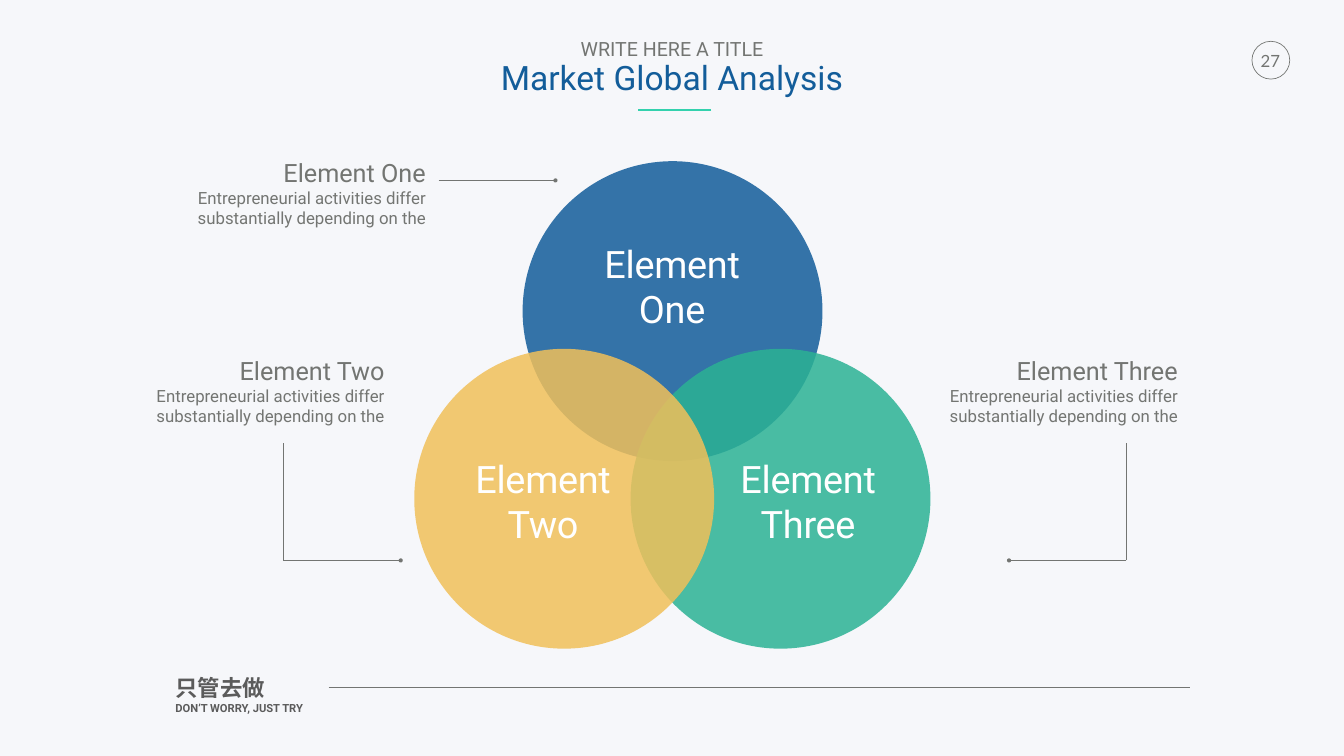
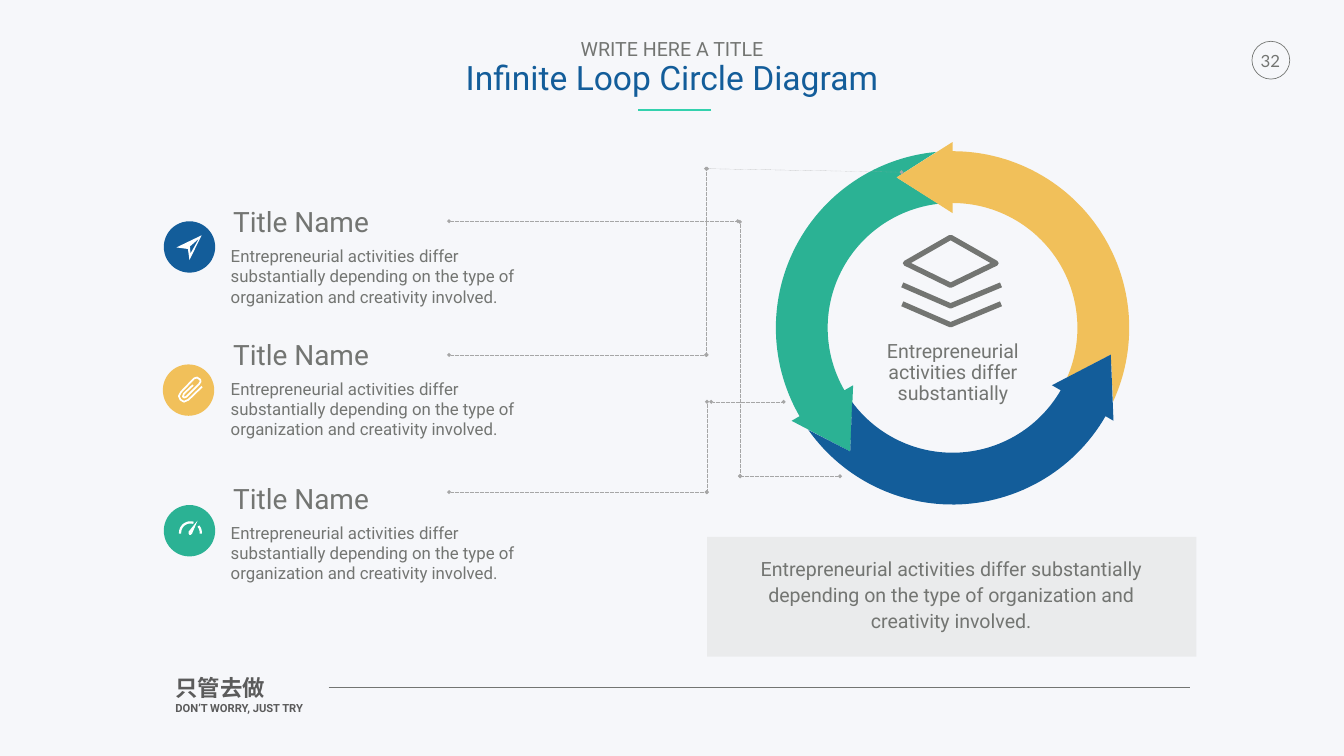
from math import cos, radians, sin

from lxml.etree import SubElement
from pptx import Presentation
from pptx.dml.color import RGBColor
from pptx.enum.dml import MSO_LINE
from pptx.enum.shapes import MSO_CONNECTOR, MSO_SHAPE
from pptx.enum.text import MSO_ANCHOR, MSO_AUTO_SIZE, PP_ALIGN
from pptx.oxml.ns import qn
from pptx.util import Pt

COLORS = {
    "background": "F6F7FA", "gray": "737572", "slogan": "5B5B5B",
    "blue": "135D9A", "green": "2BB294", "yellow": "F1C05A",
    "accent": "33D1AD", "dash": "A6A6A6", "panel": "D9D9D9", "white": "FFFFFF",
}
LEFT, CENTER, RIGHT = PP_ALIGN.LEFT, PP_ALIGN.CENTER, PP_ALIGN.RIGHT

TEASER = "Entrepreneurial activities differ substantially depending on the"
DESCRIPTION = TEASER + " type of organization and creativity involved."

# Icon outlines, relative to the centre of their badge
PLANE = [
    [(17.3, -16.6), (-18.7, 0.7), (-2.2, 2.9), (0, 18.7)],
    [(13.7, -12.2), (1.4, 9.4), (0.7, -0.7)],
]
CLIP = [
    (19.4, -5), (0, 13.7), (-6.5, 16.6), (-11.5, 13.7), (-13.7, 8.6),
    (-10.8, 2.9), (7.9, -16.6), (12.2, -18), (16.6, -15.1), (17.3, -12.2),
    (15.1, -8.6), (-2.9, 9.4), (-5.8, 10.8), (-7.9, 9.4), (-6.5, 5),
    (6.5, -7.2),
]
NEEDLE = [(11.5, -14.4), (-1.4, 1.4), (-1.4, 4), (0, 5.8), (2, 5.8), (3.6, 4.3)]


def rgb(color):
    return RGBColor.from_string(COLORS[color])


def paint(shape, fill=None, alpha=100, line=None, width=1):
    shape.shadow.inherit = False
    if fill:
        shape.fill.solid()
        shape.fill.fore_color.rgb = rgb(fill)
        if alpha < 100:
            tint = shape.fill._xPr.find(qn("a:solidFill"))[0]
            SubElement(tint, qn("a:alpha"), val=str(alpha * 1000))
    else:
        shape.fill.background()
    if line:
        shape.line.color.rgb = rgb(line)
        shape.line.width = Pt(width)
    else:
        shape.line.fill.background()


def preset(slide, kind, left, top, width, height, **look):
    shape = slide.shapes.add_shape(kind, Pt(left), Pt(top), Pt(width), Pt(height))
    paint(shape, **look)


def circle(slide, center, diameter, **look):
    x, y = center
    radius = diameter / 2
    preset(slide, MSO_SHAPE.OVAL, x - radius, y - radius, diameter, diameter, **look)


def outline(slide, contours, origin=(0, 0), closed=True, **look):
    """Draw one freeform from lists of points relative to origin."""
    contours = [[(Pt(origin[0] + x), Pt(origin[1] + y)) for x, y in contour]
                for contour in contours]
    builder = slide.shapes.build_freeform(*contours[0][0], scale=1.0)
    for number, contour in enumerate(contours):
        if number:
            builder.move_to(*contour[0])
        builder.add_line_segments(contour[1:], close=closed)
    paint(builder.convert_to_shape(), **look)


def polar(radius, angle, center=(0, 0)):
    """Point at an angle counted counterclockwise from the right."""
    turn = radians(angle)
    return center[0] + radius * cos(turn), center[1] - radius * sin(turn)


def arc(radius, start, end, center=(0, 0), steps=60):
    return [polar(radius, start + (end - start) * step / steps, center)
            for step in range(steps + 1)]


def connect(slide, x1, y1, x2, y2, color="gray", width=1, head=None, tail=None,
            dashed=False):
    line = slide.shapes.add_connector(
        MSO_CONNECTOR.STRAIGHT, Pt(x1), Pt(y1), Pt(x2), Pt(y2))
    line.line.color.rgb = rgb(color)
    line.line.width = Pt(width)
    if dashed:
        line.line.dash_style = MSO_LINE.DASH
    properties = line._element.spPr
    for tag, end in (("a:headEnd", head), ("a:tailEnd", tail)):
        if end:
            SubElement(properties.find(qn("a:ln")), qn(tag), type=end)
    SubElement(properties, qn("a:effectLst"))


def prepare(frame, inset, wrap=True, anchor=MSO_ANCHOR.TOP):
    frame.auto_size = MSO_AUTO_SIZE.NONE
    frame.word_wrap = wrap
    frame.vertical_anchor = anchor
    frame.margin_left = frame.margin_right = Pt(inset)
    frame.margin_top = frame.margin_bottom = Pt(inset)
    return frame


def text_area(slide, left, top, width, height, inset=3.6, **layout):
    box = slide.shapes.add_textbox(Pt(left), Pt(top), Pt(width), Pt(height))
    return prepare(box.text_frame, inset, **layout)


def write(frame, text, size=24, color="gray", font="Roboto", bold=False,
          align=LEFT, line_spacing=None, before=None, tracking=None):
    """Add a paragraph to the frame, filling its empty first one if possible."""
    first = frame.paragraphs[0]
    paragraph = frame.add_paragraph() if first.runs else first
    paragraph.text = text
    paragraph.alignment = align
    if line_spacing:
        paragraph.line_spacing = line_spacing
    if before:
        paragraph.space_before = Pt(before)
    for run in paragraph.runs:
        run.font.size = Pt(size)
        run.font.name = font
        run.font.bold = bold
        run.font.color.rgb = rgb(color)
        if tracking:
            run._r.get_or_add_rPr().set("spc", str(round(tracking * 100)))


def add_slide(deck, heading, number):
    """Add a slide with the shared background, title, page number and footer."""
    slide = deck.slides.add_slide(deck.slide_layouts[5])
    slide.background.fill.solid()
    slide.background.fill.fore_color.rgb = rgb("background")

    circle(slide, (1815.5, 86), 54, line="gray")
    page = text_area(slide, 1794, 64.8, 42, 43, inset=7.2, wrap=False)
    write(page, str(number), font="Lato", align=CENTER)

    slogan = text_area(slide, 247, 960, 287, 71)
    write(slogan, "只管去做", size=32, color="slogan", bold=True)
    write(slogan, "DON’T WORRY, JUST TRY", size=16, color="slogan", bold=True)
    connect(slide, 469.5, 982, 1700.5, 982, width=0.25)

    title = slide.shapes.title
    title.left, title.top, title.width, title.height = Pt(660), Pt(53.3), Pt(600), Pt(96)
    frame = prepare(title.text_frame, 3.6, wrap=False)
    write(frame, "WRITE HERE A TITLE", size=28, align=CENTER, line_spacing=0.9)
    write(frame, heading, size=48, color="blue", align=CENTER, line_spacing=0.9)
    connect(slide, 1016, 157, 912, 157, color="accent", width=3)
    return slide


def venn_label(slide, name, left, top):
    label = text_area(slide, left, top, 227, 137.5)
    write(label, f"Element\n{name}", size=54, color="white", align=CENTER, tracking=-0.4)


def venn_note(slide, name, left, top, width):
    note = text_area(slide, left, top, width, 120, inset=9.4)
    write(note, f"Element {name}", size=36, align=RIGHT)
    write(note, TEASER, align=RIGHT)


def venn_slide(deck):
    slide = add_slide(deck, "Market Global Analysis", 27)
    for center, color in (((960.75, 444.5), "blue"), ((1115, 712.5), "green"),
                          ((806, 712.5), "yellow")):
        circle(slide, center, 428.4, fill=color, alpha=85)
    for name, left, top in (("One", 846.7, 340.5), ("Two", 662.4, 647.3),
                            ("Three", 1041, 647.3)):
        venn_label(slide, name, left, top)
    for name, left, top, width in (("One", 180.7, 216, 437), ("Two", 121.7, 498, 437),
                                   ("Three", 1329, 498, 363)):
        venn_note(slide, name, left, top, width)
    connect(slide, 626.5, 257.7, 793.5, 257.7, tail="oval")
    for corner, end in ((404.8, 572.4), (1609, 1441.5)):
        connect(slide, corner, 633, corner, 800.6)
        connect(slide, corner, 800.6, end, 800.6, tail="oval")


def loop_arrow(slide, turn, color):
    """Draw a third of the ring; its tail is notched for the next arrow's tip."""
    outer, inner, tip = 252.4, 178.4, 229.3
    points = arc(outer, turn - 24.7, turn + 90)
    points += [polar(265.5, turn + 90), polar(tip, turn + 110.4), polar(164, turn + 90)]
    points += arc(inner, turn + 90, turn - 23.5)
    points.append(polar(tip, turn - 9.6))
    outline(slide, [points], origin=(1360.8, 468.4), fill=color)


def topic(slide, top):
    write(text_area(slide, 326, top, 472, 63, inset=7.2), "Title Name", size=40)
    write(text_area(slide, 326, top + 62.8, 472, 94), DESCRIPTION)


def badges(slide):
    plane, clip, gauge = (270.7, 352.8), (269.3, 557.3), (270.7, 758.2)
    for center, color in ((plane, "blue"), (clip, "yellow"), (gauge, "green")):
        circle(slide, center, 73.4, fill=color)
    outline(slide, PLANE, origin=plane, fill="white")
    outline(slide, [CLIP], origin=clip, closed=False, line="white", width=2.5)
    outline(slide, [NEEDLE], origin=gauge, fill="white")
    dial = [arc(14.8, start, end, center=(1.4, 2.9), steps=20)
            for start, end in ((185, 73), (-5, 40))]
    outline(slide, dial, origin=gauge, closed=False, line="white", width=3.2)


def layers_icon(slide):
    stroke = {"line": "gray", "width": 7.5}
    outline(slide, [[(1358, 339), (1423, 376), (1358, 407.5), (1293.5, 376)]], **stroke)
    for top in (407, 434):
        chevron = [(1289, top), (1358, top + 30), (1430, top)]
        outline(slide, [chevron], closed=False, **stroke)


def loop_slide(deck):
    slide = add_slide(deck, "Infinite Loop Circle Diagram", 32)
    for turn, color in ((120, "green"), (0, "yellow"), (-120, "blue")):
        loop_arrow(slide, turn, color)
    badges(slide)
    for top in (285, 474.5, 680.4):
        topic(slide, top)

    preset(slide, MSO_SHAPE.RECTANGLE, 1010, 766.8, 699, 171.4, fill="panel", alpha=40)
    summary = text_area(slide, 1057, 793.4, 603.4, 108.7, inset=0, anchor=MSO_ANCHOR.MIDDLE)
    write(summary, DESCRIPTION, size=28, align=CENTER, line_spacing=1.1, before=30)

    for ends in (
        (641.5, 316, 1054, 316), (1057, 317, 1057, 680), (1057.5, 680.4, 1200, 680.4),
        (641.5, 507, 1009.5, 507), (1010, 241, 1288, 246), (641.5, 703, 1009.5, 703),
        (1010, 574, 1010, 703), (1016, 574, 1119.5, 574), (1008.7, 241, 1008.7, 507),
    ):
        connect(slide, *ends, color="dash", width=0.25, dashed=True,
                head="diamond", tail="diamond")

    layers_icon(slide)
    core = text_area(slide, 1227, 481, 268.5, 108.7, inset=7.2)
    write(core, "Entrepreneurial activities differ substantially", size=28,
          align=CENTER, line_spacing=0.89)


def main():
    deck = Presentation()
    deck.slide_width, deck.slide_height = Pt(1920), Pt(1080)
    venn_slide(deck)
    loop_slide(deck)
    deck.save("out.pptx")


if __name__ == "__main__":
    main()
